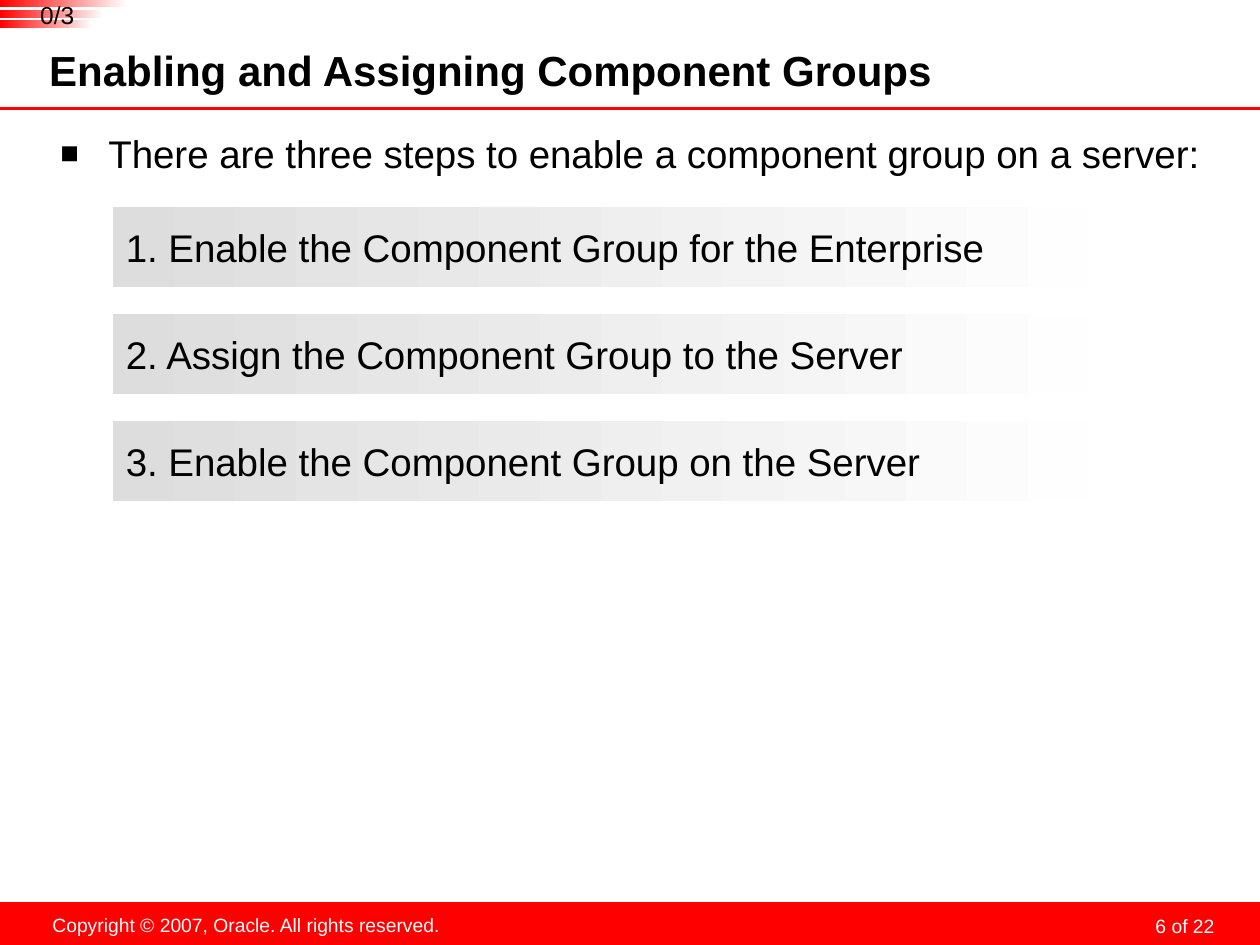
from lxml import etree
from pptx import Presentation
from pptx import util as u
from pptx.dml.color import RGBColor
from pptx.enum import shapes, text
from pptx.oxml.ns import qn

RED, WHITE, BLACK = "FF0000", "FFFFFF", "000000"
LEFT, CENTER, RIGHT = text.PP_ALIGN.LEFT, text.PP_ALIGN.CENTER, text.PP_ALIGN.RIGHT
TOP, MIDDLE = text.MSO_ANCHOR.TOP, text.MSO_ANCHOR.MIDDLE
STEPS = [
    "1. Enable the Component Group for the Enterprise",
    "2. Assign the Component Group to the Server",
    "3. Enable the Component Group on the Server",
]


def color(value):
    return RGBColor.from_string(value)


class SlideBuilder:
    font = "Arial"

    def __init__(self, slide):
        self.slide = slide

    def set_text(self, sp, words, size, ink=BLACK, bold=False, align=LEFT,
                 anchor=TOP, insets=(0.1, 0.05, 0.1, 0.05), wrap=True):
        """Fill a shape with one formatted paragraph and return it."""
        tf = sp.text_frame
        tf.text = words
        tf.auto_size = text.MSO_AUTO_SIZE.NONE
        tf.word_wrap = wrap
        tf.vertical_anchor = anchor
        tf.margin_left, tf.margin_top, tf.margin_right, tf.margin_bottom = map(u.Inches, insets)
        p = tf.paragraphs[0]
        p.alignment = align
        p.space_before = u.Pt(0)
        font = p.runs[0].font
        font.name, font.size, font.bold = self.font, u.Pt(size), bold
        font.color.rgb = color(ink)
        return p

    def placeholder(self, index, box, words, size, **style):
        sp = self.slide.placeholders[index]
        sp.left, sp.top, sp.width, sp.height = map(u.Inches, box)
        return self.set_text(sp, words, size, **style)

    def label(self, box, words, size, **style):
        sp = self.slide.shapes.add_textbox(*map(u.Inches, box))
        return self.set_text(sp, words, size, **style)

    def bar(self, box, start, end=None, kind=shapes.MSO_SHAPE.RECTANGLE):
        """Draw a borderless bar, fading left to right if an end colour is given."""
        sp = self.slide.shapes.add_shape(kind, *map(u.Inches, box))
        sp.shadow.inherit = False
        sp.line.fill.background()
        if end is None:
            sp.fill.solid()
            sp.fill.fore_color.rgb = color(start)
        else:
            sp.fill.gradient()
            sp.fill.gradient_angle = 180
            for stop, value in zip(sp.fill.gradient_stops, (end, start)):
                stop.color.rgb = color(value)
        return sp

    def rule(self, y, width, ink, weight):
        line = self.slide.shapes.add_connector(
            shapes.MSO_CONNECTOR.STRAIGHT, 0, u.Inches(y), u.Inches(width), u.Inches(y))
        line.line.color.rgb = color(ink)
        line.line.width = u.Pt(weight)
        etree.SubElement(line._element.spPr, qn("a:effectLst"))

    def bullet(self, p, char, ink, percent, indent):
        pPr = p._p.get_or_add_pPr()
        pPr.set("marL", str(u.Inches(indent)))
        pPr.set("indent", str(-u.Inches(indent)))
        bu_color = etree.SubElement(pPr, qn("a:buClr"))
        etree.SubElement(bu_color, qn("a:srgbClr")).set("val", ink)
        etree.SubElement(pPr, qn("a:buSzPct")).set("val", str(percent * 1000))
        etree.SubElement(pPr, qn("a:buFont")).set("typeface", self.font)
        etree.SubElement(pPr, qn("a:buChar")).set("char", char)


def main():
    prs = Presentation()
    prs.slide_width, prs.slide_height = u.Inches(10), u.Inches(7.5)
    s = SlideBuilder(prs.slides.add_slide(prs.slide_layouts[1]))

    # Footer
    s.bar((0, 7.16, 10, 0.34), RED)
    page = s.label((7.36, 7.19, 2.33, 0.25), "6 of 22", 11, ink=WHITE,
                   align=RIGHT, insets=(0.05, 0, 0.05, 0))
    page.line_spacing = u.Pt(18)
    s.label((0.31, 7.2, 3.29, 0.29), "Copyright © 2007, Oracle. All rights reserved.",
            11, ink=WHITE, align=CENTER, wrap=False)

    # Heading
    s.rule(0.86, 10, RED, 1.75)
    s.placeholder(0, (0.39, 0.38, 7.87, 0.4), "Enabling and Assigning Component Groups",
                  24, bold=True, anchor=MIDDLE, insets=(0, 0, 0.05, 0.05))

    # Progress marker
    for i, width in enumerate((1.01, 0.82, 0.73)):
        stripe = s.bar((0, i * 0.08, width, 0.06), RED, WHITE,
                       shapes.MSO_SHAPE.ROUNDED_RECTANGLE)
        stripe.adjustments[0] = 0
    s.label((0.2, 0, 0.51, 0.23), "0/3", 14, align=CENTER, insets=(0, 0, 0, 0))

    # Steps
    for i, step in enumerate(STEPS):
        sp = s.bar((0.9, 1.64 + i * 0.85, 7.74, 0.64), "DDDDDD", "FEFEFE")
        s.set_text(sp, step, 22, anchor=MIDDLE, wrap=False)

    intro = s.placeholder(1, (0.38, 0.93, 9.3, 6.18),
                          "There are three steps to enable a component group on a server:",
                          22, insets=(0.1, 0.1, 0.1, 0.05))
    s.bullet(intro, "■", BLACK, 80, 0.38)

    prs.save("out.pptx")


if __name__ == "__main__":
    main()
